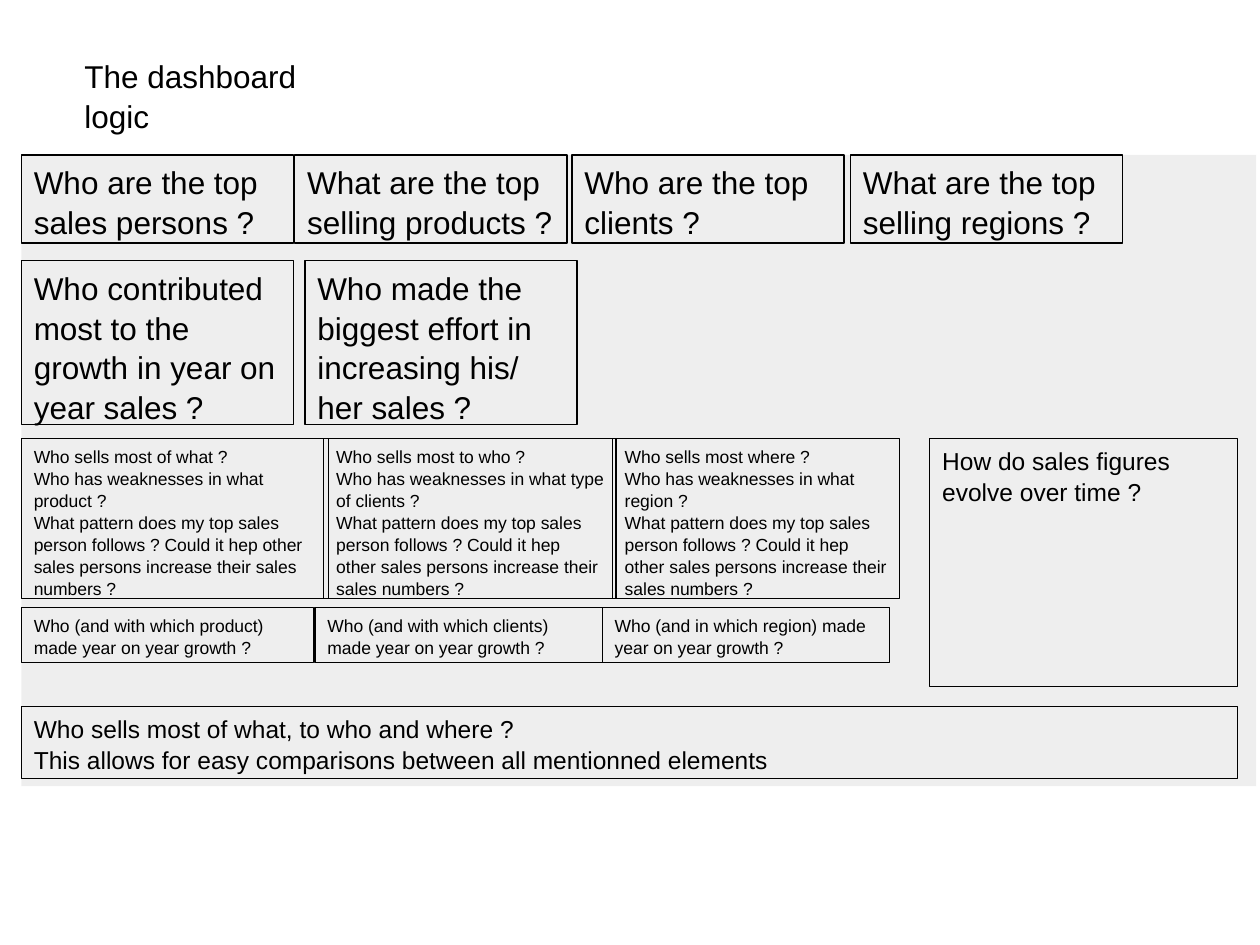
from lxml import etree
from pptx import Presentation
from pptx.dml.color import RGBColor
from pptx.enum.shapes import MSO_SHAPE
from pptx.enum.text import MSO_ANCHOR, PP_ALIGN
from pptx.oxml.ns import qn
from pptx.util import Inches, Pt

RECT = MSO_SHAPE.RECTANGLE
TOP = MSO_ANCHOR.TOP
LEFT = PP_ALIGN.LEFT
FONT = "Arial"
BLACK = "000000"
GREY = "C0C0C0"
PANEL = (0.17, 1.23, 9.8, 5.01)
PATTERN = ("What pattern does my top sales person follows ? "
           "Could it hep other sales persons increase their sales numbers ?")

# Each row: top and height within the panel, text size,
# then (left within the panel, width, text) for each box.
ROWS = [
    (0, 0.7, 18, [
        (0, 2.16, "Who are the top sales persons ?"),
        (2.17, 2.16, "What are the top selling products ?"),
        (4.37, 2.16, "Who are the top clients ?"),
        (6.58, 2.16, "What are the top selling regions ?")]),
    (0.84, 1.3, 18, [
        (0, 2.16, "Who contributed most to the growth in year on year sales ?"),
        (2.25, 2.16, "Who made the biggest effort in increasing his/ her sales ?")]),
    (2.25, 1.27, 10, [
        (0, 2.44, "Who sells most of what ?\v"
                  "Who has weaknesses in what product ?\v" + PATTERN),
        (2.4, 2.32, "Who sells most to who ?\v"
                    "Who has weaknesses in what type of clients ?\v" + PATTERN),
        (4.69, 2.28, "Who sells most where ?\v"
                     "Who has weaknesses in what region ?\v" + PATTERN)]),
    (3.59, 0.44, 10, [
        (0, 2.32, "Who (and with which product) made year on year growth ?"),
        (2.33, 2.28, "Who (and with which clients) made year on year growth ?"),
        (4.61, 2.28, "Who (and in which region) made year on year growth ?")]),
    (2.25, 1.97, 14, [
        (7.21, 2.44, "How do sales figures evolve over time ?")]),
    (4.38, 0.57, 14, [
        (0, 9.65, "Who sells most of what, to who and where ?\v"
                  "This allows for easy comparisons between all mentionned elements")]),
]


def color(code):
    return RGBColor.from_string(code)


def write(shape, text, size, wrap=True):
    frame = shape.text_frame
    frame.word_wrap = wrap
    frame.vertical_anchor = TOP
    frame.margin_left = frame.margin_right = Inches(0.1)
    frame.margin_top = frame.margin_bottom = Inches(0.05)
    frame.text = text
    para = frame.paragraphs[0]
    para.alignment = LEFT
    para.line_spacing = 1.05
    para.font.name = FONT
    para.font.size = Pt(size)
    para.font.color.rgb = color(BLACK)


def add_rect(slide, box):
    shape = slide.shapes.add_shape(RECT, *map(Inches, box))
    shape.shadow.inherit = False
    return shape


def add_title(slide, box):
    title = slide.shapes.title
    title.left, title.top, title.width, title.height = map(Inches, box)
    write(title, "The dashboard logic", 18, wrap=False)


def add_panel(slide, box):
    panel = add_rect(slide, box)
    panel.fill.solid()
    panel.fill.fore_color.rgb = color(GREY)
    panel.line.fill.background()
    tint = panel.fill._xPr.find(".//" + qn("a:srgbClr"))
    etree.SubElement(tint, qn("a:alpha"), val="26000")


def add_row(slide, box, size, cells):
    """Place framed questions side by side within the box."""
    left, top, _, height = box
    for shift, width, text in cells:
        frame = add_rect(slide, (left + shift, top, width, height))
        frame.fill.background()
        frame.line.color.rgb = color(BLACK)
        frame.line.width = Pt(0.75)
        write(frame, text, size)


def main():
    deck = Presentation()
    deck.slide_width, deck.slide_height = Inches(10), Inches(7.5)
    slide = deck.slides.add_slide(deck.slide_layouts[5])
    add_title(slide, (0.57, 0.39, 2.46, 0.4))
    add_panel(slide, PANEL)
    left, top, width, _ = PANEL
    for drop, height, size, cells in ROWS:
        add_row(slide, (left, top + drop, width, height), size, cells)
    deck.save("out.pptx")


if __name__ == "__main__":
    main()
